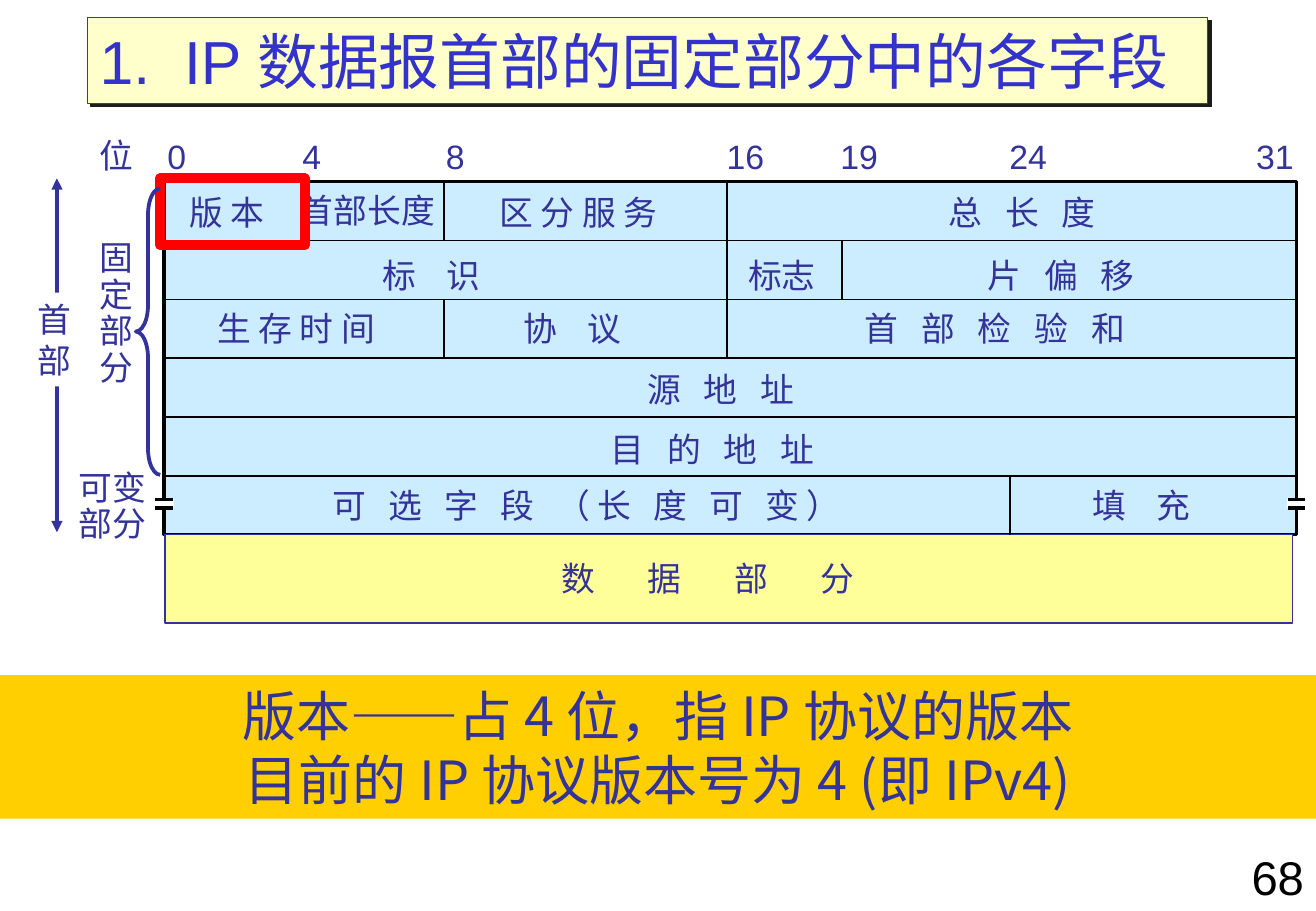
from dataclasses import dataclass

from lxml.etree import SubElement
from pptx import Presentation
from pptx.dml.color import RGBColor
from pptx.enum.shapes import MSO_CONNECTOR, MSO_SHAPE
from pptx.enum.text import MSO_ANCHOR, MSO_AUTO_SIZE, PP_ALIGN
from pptx.oxml.ns import qn
from pptx.util import Cm, Pt

NAVY, BLACK, WHITE = "333399", "000000", "FFFFFF"
SANS, HAN = "Arial", "Noto Sans CJK SC"
LEFT, TOP, WIDTH, STEP = 3.43, 3.8, 23.67, 1.23
FIT = {"word_wrap": False, "auto_size": MSO_AUTO_SIZE.SHAPE_TO_FIT_TEXT}
FIXED = {"word_wrap": False, "auto_size": MSO_AUTO_SIZE.NONE,
         "vertical_anchor": MSO_ANCHOR.MIDDLE}
WRAP = {"word_wrap": True, "auto_size": MSO_AUTO_SIZE.NONE}


@dataclass
class Label:
    text: str
    x: float
    y: float
    w: float
    h: float = 1.09
    space: float = 0  # letter spacing in points
    lead: float = 1.0


@dataclass
class Box:
    x: float
    y: float
    w: float
    h: float
    fill: str = ""
    line: str = ""
    thick: float = 1
    kind: MSO_SHAPE = MSO_SHAPE.RECTANGLE


def paint(part, color: str) -> None:
    """Colour a fill or a line; an empty string clears it."""
    fill = part if hasattr(part, "solid") else part.fill
    if color:
        fill.solid()
        fill.fore_color.rgb = RGBColor.from_string(color)
    else:
        fill.background()


def space_out(run, points: float) -> None:
    run._r.get_or_add_rPr().set("spc", str(round(points * 100)))


def style(frame, size: float, color: str = NAVY, font: str = SANS,
          align=PP_ALIGN.LEFT, lead: float = 1.0, space: float = 0,
          look: dict = FIT) -> None:
    for name, value in look.items():
        setattr(frame, name, value)
    for para in frame.paragraphs:
        para.alignment, para.line_spacing = align, lead
        for run in para.runs:
            for name, value in {"size": Pt(size), "name": font, "bold": False}.items():
                setattr(run.font, name, value)
            run.font.color.rgb = RGBColor.from_string(color)
            SubElement(run._r.get_or_add_rPr(), qn("a:ea")).set("typeface", HAN)
            if space:
                space_out(run, space)


def draw(slide, box: Box):
    shape = slide.shapes.add_shape(box.kind, Cm(box.x), Cm(box.y), Cm(box.w), Cm(box.h))
    shape.shadow.inherit = False
    paint(shape.fill, box.fill)
    paint(shape.line, box.line)
    if box.line:
        shape.line.width = Pt(box.thick)
    return shape


def rule(slide, x1: float, y1: float, x2: float, y2: float,
         color: str = BLACK, thick: float = 1):
    line = slide.shapes.add_connector(
        MSO_CONNECTOR.STRAIGHT, Cm(x1), Cm(y1), Cm(x2), Cm(y2))
    paint(line.line, color)
    line.line.width = Pt(thick)
    SubElement(line.element.spPr, qn("a:effectLst"))
    return line


def write(slide, label: Label) -> None:
    text = slide.shapes.add_textbox(
        Cm(label.x), Cm(label.y), Cm(label.w), Cm(label.h)).text_frame
    text.text = label.text
    style(text, 20, lead=label.lead, space=label.space)


def row(index: int) -> float:
    return TOP + STEP * index


def col(bit: float) -> float:
    return 3.36 + 0.74 * bit


def add_title(slide) -> None:
    title = slide.shapes.title
    title.left, title.top, title.width, title.height = Cm(1.83), Cm(0.36), Cm(23.42), Cm(1.8)
    paint(title.fill, "FFFFCC")
    paint(title.line, "3333CC")
    title.line.width = Pt(0.75)
    para = title.text_frame.paragraphs[0]
    runs = [para.add_run() for _ in range(3)]
    for run, text in zip(runs, ("1.", " ", "IP 数据报首部的固定部分中的各字段")):
        run.text = text
    style(title.text_frame, 36, "3333CC", look=FIXED)
    space_out(runs[1], 10)
    effects = SubElement(title.element.spPr, qn("a:effectLst"))
    shade = SubElement(effects, qn("a:outerShdw"), dist="35560", dir="2700000",
                       algn="ctr", rotWithShape="0")
    SubElement(shade, qn("a:srgbClr"), val="1C1C1C")


# Vertical dividers: bit, first row, last row
SPLITS = [(4, 0, 1), (8, 0, 1), (8, 2, 3), (16, 0, 3), (24, 5, 6), (19.25, 1, 2)]

BITS = {"0": 3.25, "4": 6.07, "8": 9.07, "16": 14.94, "19": 17.32, "24": 20.85, "31": 26.01}

FIELDS = [
    Label("版 本", 3.71, 3.89, 2.13),
    Label("首部长度", 6.02, 3.84, 3.35),
    Label("区 分 服 务", 10.19, 3.89, 3.94),
    Label("总 长 度", 19.58, 3.89, 3.81, space=4.5),
    Label("标 识", 7.75, 5.21, 2.72, space=6.7),
    Label("标志", 15.39, 5.21, 1.93),
    Label("片 偏 移", 20.4, 5.21, 3.81, space=4.5),
    Label("生 存 时 间", 4.29, 6.32, 3.94),
    Label("协 议", 10.69, 6.32, 2.72, space=6.7),
    Label("首 部 检 验 和", 17.83, 6.32, 6.43, space=4.5),
    Label("源 地 址", 13.28, 7.59, 3.81, space=4.5),
    Label("目 的 地 址", 12.52, 8.84, 5.13, space=4.5),
    Label("可 选 字 段 （长 度 可 变）", 6.71, 10.01, 11.56, space=4.3),
    Label("填 充", 22.58, 10.01, 2.72, space=6.7),
    Label("数 据 部 分", 11.48, 11.53, 8.76, space=13.4),
]

SIDES = [
    Label("位", 1.83, 2.69, 1.22),
    Label("固\n定\n部\n分", 1.83, 4.93, 1.22, 3.33, lead=0.9),
    Label("可变\n部分", 1.4, 9.73, 1.93, 1.78, lead=0.9),
]


def main() -> None:
    deck = Presentation()
    deck.slide_width, deck.slide_height = Cm(27.51), Cm(19.05)
    slide = deck.slides.add_slide(deck.slide_layouts[5])
    add_title(slide)

    # Header span arrow
    span = rule(slide, 1.19, 3.73, 1.19, 11.13, NAVY, 2.25)
    for end in ("a:headEnd", "a:tailEnd"):
        SubElement(span.line._get_or_add_ln(), qn(end), type="triangle")
    head = draw(slide, Box(0.53, 6.12, 1.22, 1.96, WHITE)).text_frame
    head.text = "首\n部"
    style(head, 20)

    # Header grid and data part
    grid = draw(slide, Box(LEFT, TOP, WIDTH, 6 * STEP, "CCECFF", BLACK, 2))
    draw(slide, Box(3.45, 11.18, 23.57, 1.85, "FFFF99", NAVY))
    for index in range(1, 6):
        line = rule(slide, LEFT, row(index), LEFT + WIDTH, row(index))
        if index == 3:
            line.begin_connect(grid, 1)
            line.end_connect(grid, 3)
    for bit, first, last in SPLITS:
        rule(slide, col(bit), row(first), col(bit), row(last))

    # Labels
    for text, x in BITS.items():
        write(slide, Label(text, x, 2.72, 0.91 if len(text) == 1 else 1.3))
    for label in FIELDS + SIDES:
        write(slide, label)

    # Break marks on both edges
    for x in (3.23, 26.9):
        draw(slide, Box(x, 10.43, 0.4, 0.19, WHITE))
        for y in (10.44, 10.62):
            rule(slide, x + 0.02, y, x + 0.38, y, BLACK, 2)

    # Banner, highlight and brace
    note = draw(slide, Box(0, 14.12, 27.51, 3, "FFCF01")).text_frame
    note.text = "版本——占 4 位，指 IP 协议的版本\n目前的 IP 协议版本号为 4 (即 IPv4)"
    style(note, 32, font=HAN, align=PP_ALIGN.CENTER, look=FIXED)
    draw(slide, Box(3.35, 3.73, 3.02, 1.4, "", "FF0000", 6))
    brace = draw(slide, Box(2.84, 3.94, 0.51, 5.99, "", NAVY, 2.25, MSO_SHAPE.LEFT_BRACE))
    brace.adjustments[0] = 1.08

    # Page number
    page = slide.shapes.add_textbox(Cm(25.15), Cm(17.65), Cm(2.36), Cm(1.4)).text_frame
    page.text = "68"
    style(page, 28, BLACK, align=PP_ALIGN.RIGHT,
          look=WRAP | {"vertical_anchor": MSO_ANCHOR.BOTTOM})

    deck.save("out.pptx")


if __name__ == "__main__":
    main()
